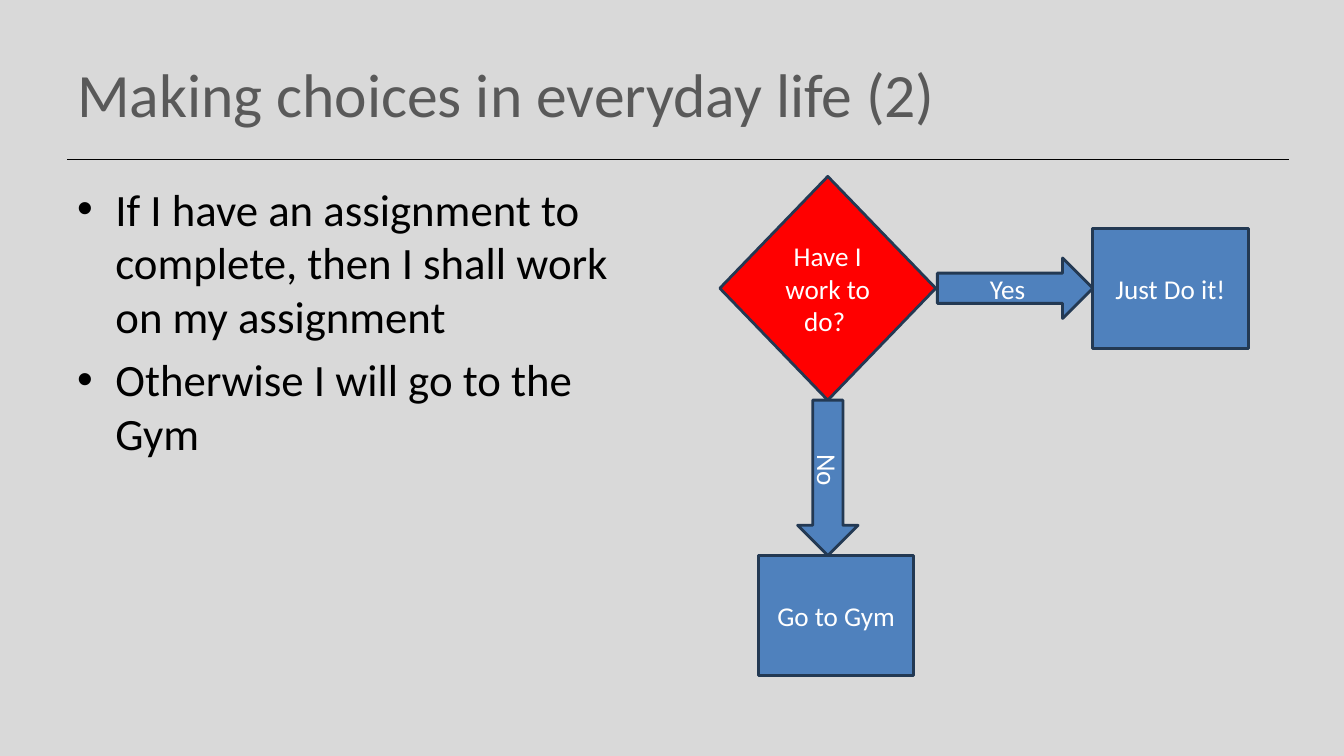
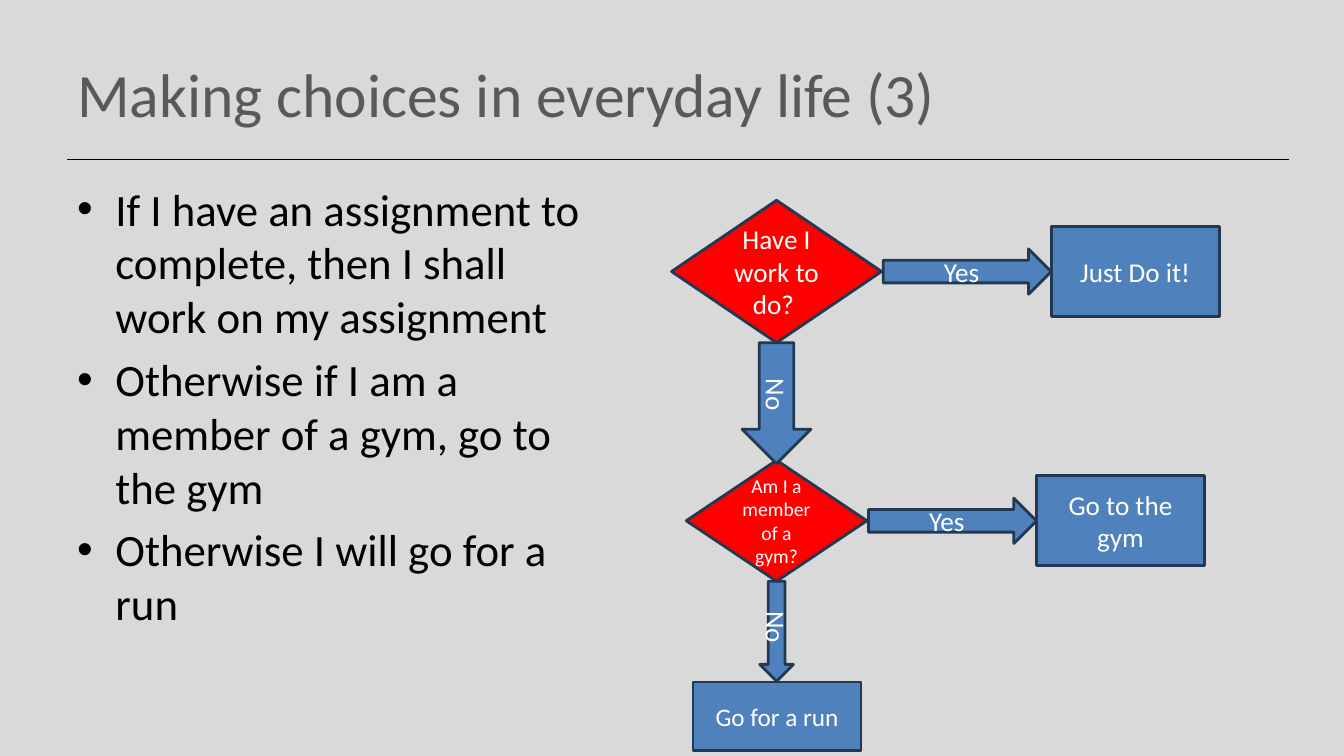
from dataclasses import dataclass

from lxml import etree
from pptx import Presentation
from pptx.dml.color import RGBColor
from pptx.enum.shapes import MSO_CONNECTOR, MSO_SHAPE
from pptx.enum.text import MSO_ANCHOR, PP_ALIGN
from pptx.oxml.ns import qn
from pptx.util import Emu, Inches, Pt

SLIDE_WIDTH, SLIDE_HEIGHT = Emu(12192000), Emu(6858000)
COLUMNS, ROWS = 160, 90
CELL_WIDTH, CELL_HEIGHT = SLIDE_WIDTH / COLUMNS, SLIDE_HEIGHT / ROWS

BACKGROUND = RGBColor(0xD9, 0xD9, 0xD9)
TITLE_GREY = RGBColor(0x59, 0x59, 0x59)
BLACK = RGBColor(0x00, 0x00, 0x00)
WHITE = RGBColor(0xFF, 0xFF, 0xFF)
RED = RGBColor(0xFF, 0x00, 0x00)
BLUE = RGBColor(0x4F, 0x81, 0xBD)
NAVY = RGBColor(0x23, 0x39, 0x53)

FONT = "Calibri"
LABEL_SIZE = 19.4
BULLET_SIZE = 32
BULLET_INDENT = Inches(0.38)
ARROW_GAP = 0.2

DECISION = MSO_SHAPE.FLOWCHART_DECISION
PROCESS = MSO_SHAPE.FLOWCHART_PROCESS
ARROW = MSO_SHAPE.RIGHT_ARROW
STRAIGHT = MSO_CONNECTOR.STRAIGHT
MIDDLE = MSO_ANCHOR.MIDDLE
CENTER = PP_ALIGN.CENTER


@dataclass
class Box:
    """A rectangle in columns and rows of the slide grid."""
    left: float
    top: float
    width: float
    height: float

    @property
    def right(self):
        """Return the column of the right edge."""
        return self.left + self.width

    @property
    def bottom(self):
        """Return the row of the bottom edge."""
        return self.top + self.height

    @property
    def center(self):
        """Return the column and row of the middle."""
        return self.left + self.width / 2, self.top + self.height / 2

    def lengths(self):
        """Return left, top, width and height as slide lengths."""
        return (Emu(round(self.left * CELL_WIDTH)), Emu(round(self.top * CELL_HEIGHT)),
                Emu(round(self.width * CELL_WIDTH)), Emu(round(self.height * CELL_HEIGHT)))


@dataclass
class Step:
    """A question with its Yes outcome and the sizes of both arrows."""
    box: Box
    question: str
    question_size: float
    outcome: str
    outcome_size: tuple
    yes_size: tuple
    no_size: tuple


TITLE_BOX = Box(8, 3.6, 144, 15)
RULE_BOX = Box(8, 19, 145.4, 0)


def centered_box(center_x, center_y, size):
    """Return a box of the given size around a center."""
    width, height = size
    return Box(center_x - width / 2, center_y - height / 2, width, height)


def write(paragraph, text, size, color):
    """Add one styled run to a paragraph."""
    run = paragraph.add_run()
    run.text = text
    run.font.name = FONT
    run.font.size = Pt(size)
    run.font.color.rgb = color


def add_node(slide, kind, box, text, fill=BLUE, size=LABEL_SIZE, rotation=0, space_after=6):
    """Draw one labelled part of a flowchart."""
    node = slide.shapes.add_shape(kind, *box.lengths())
    node.shadow.inherit = False
    node.rotation = rotation
    node.fill.solid()
    node.fill.fore_color.rgb = fill
    node.line.color.rgb = NAVY
    node.line.width = Pt(2)
    frame = node.text_frame
    frame.word_wrap = True
    frame.vertical_anchor = MIDDLE
    frame.margin_left = frame.margin_right = Inches(0.09)
    label = frame.paragraphs[0]
    label.alignment = CENTER
    label.space_after = Pt(space_after)
    write(label, text, size, WHITE)


def add_heading(slide, title):
    """Place the title and the rule below it."""
    heading = slide.shapes.add_textbox(*TITLE_BOX.lengths()).text_frame
    heading.word_wrap = True
    heading.vertical_anchor = MIDDLE
    write(heading.paragraphs[0], title, 44, TITLE_GREY)
    left, top, width, _ = RULE_BOX.lengths()
    rule = slide.shapes.add_connector(STRAIGHT, left, top, left + width, top)
    rule.line.color.rgb = BLACK
    rule.line.width = Pt(1)
    etree.SubElement(rule._element.spPr, qn("a:effectLst"))


def add_bullets(slide, box, sentences):
    """Fill a box with a bulleted list."""
    frame = slide.shapes.add_textbox(*box.lengths()).text_frame
    frame.word_wrap = True
    for index, sentence in enumerate(sentences):
        paragraph = frame.add_paragraph() if index else frame.paragraphs[0]
        properties = paragraph._p.get_or_add_pPr()
        properties.set("marL", str(BULLET_INDENT))
        properties.set("indent", str(-BULLET_INDENT))
        etree.SubElement(properties, qn("a:buFont"), typeface="Arial")
        etree.SubElement(properties, qn("a:buChar"), char="•")
        if index:
            paragraph.space_before = Pt(0.2 * BULLET_SIZE)
        write(paragraph, sentence, BULLET_SIZE, BLACK)


def add_step(slide, step):
    """Draw a question, its Yes arrow and outcome, and its No arrow."""
    box = step.box
    middle_x, middle_y = box.center
    yes_length, no_length = step.yes_size[0], step.no_size[0]
    yes_left = box.right + ARROW_GAP
    outcome_left = yes_left + yes_length
    add_node(slide, DECISION, box, step.question, RED, step.question_size)
    add_node(slide, ARROW,
             centered_box(yes_left + yes_length / 2, middle_y, step.yes_size), "Yes")
    add_node(slide, PROCESS,
             centered_box(outcome_left + step.outcome_size[0] / 2, middle_y,
                          step.outcome_size), step.outcome)
    add_node(slide, ARROW,
             centered_box(middle_x, box.bottom + no_length / 2, step.no_size),
             "No", rotation=90)


def add_choice_slide(deck, title, bullet_box, sentences, steps):
    """Add a slide with sentences beside the matching flowchart."""
    slide = deck.slides.add_slide(deck.slide_layouts[6])
    add_heading(slide, title)
    add_bullets(slide, bullet_box, sentences)
    for step in steps:
        add_step(slide, step)
    return slide


def main():
    """Build and save the deck."""
    deck = Presentation()
    deck.slide_width, deck.slide_height = SLIDE_WIDTH, SLIDE_HEIGHT
    backdrop = deck.slide_master.background.fill
    backdrop.solid()
    backdrop.fore_color.rgb = BACKGROUND

    assignment = "If I have an assignment to complete, then I shall work on my assignment"
    work_question = "Have I work to do? "
    gym_slide = add_choice_slide(
        deck, "Making choices in everyday life (2)", Box(8, 21, 70.7, 59.4),
        [assignment, "Otherwise I will go to the Gym"],
        [Step(Box(85.7, 21, 25.7, 26.64), work_question, LABEL_SIZE,
              "Just Do it!", (18.5, 14.3), (18.5, 7.2), (18.5, 7.2))])
    add_node(gym_slide, PROCESS, Box(90.3, 66.1, 18.5, 14.3), "Go to Gym")

    outcome_size, yes_size = (20, 10.7), (20, 5.4)
    run_slide = add_choice_slide(
        deck, "Making choices in everyday life (3)", Box(8, 21, 63.7, 59.4),
        [assignment, "Otherwise if I am a member of a gym, go to the gym",
         "Otherwise I will go for a run"],
        [Step(Box(81.7, 54.8, 21.5, 14.4), "Am I a member of a gym?", 14,
              "Go to the gym", outcome_size, yes_size, (11.9, 4)),
         Step(Box(79.95, 23.85, 25, 16.95), work_question, LABEL_SIZE,
              "Just Do it!", outcome_size, yes_size, (14.4, 8.2))])
    add_node(run_slide, PROCESS, Box(82.5, 81.2, 20, 8.1), "Go for a run",
             size=18, space_after=0)
    deck.save("out.pptx")


if __name__ == "__main__":
    main()
